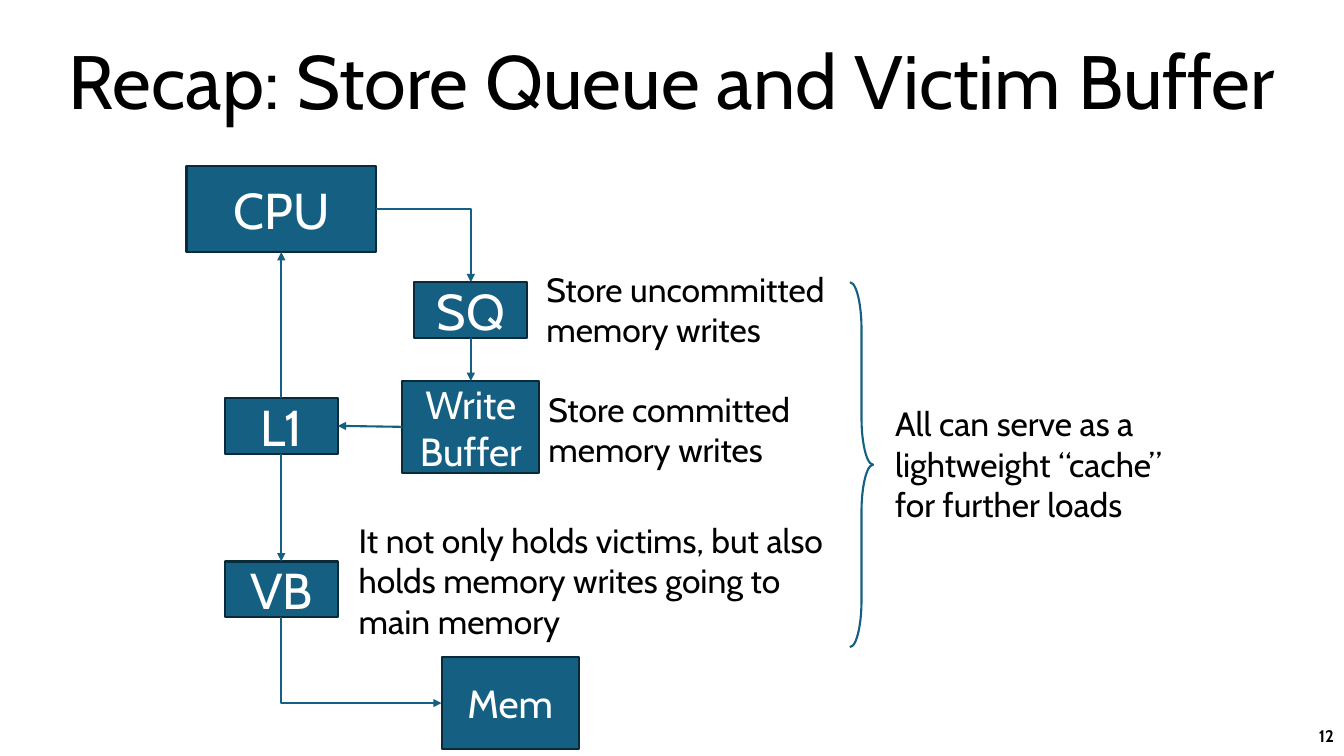
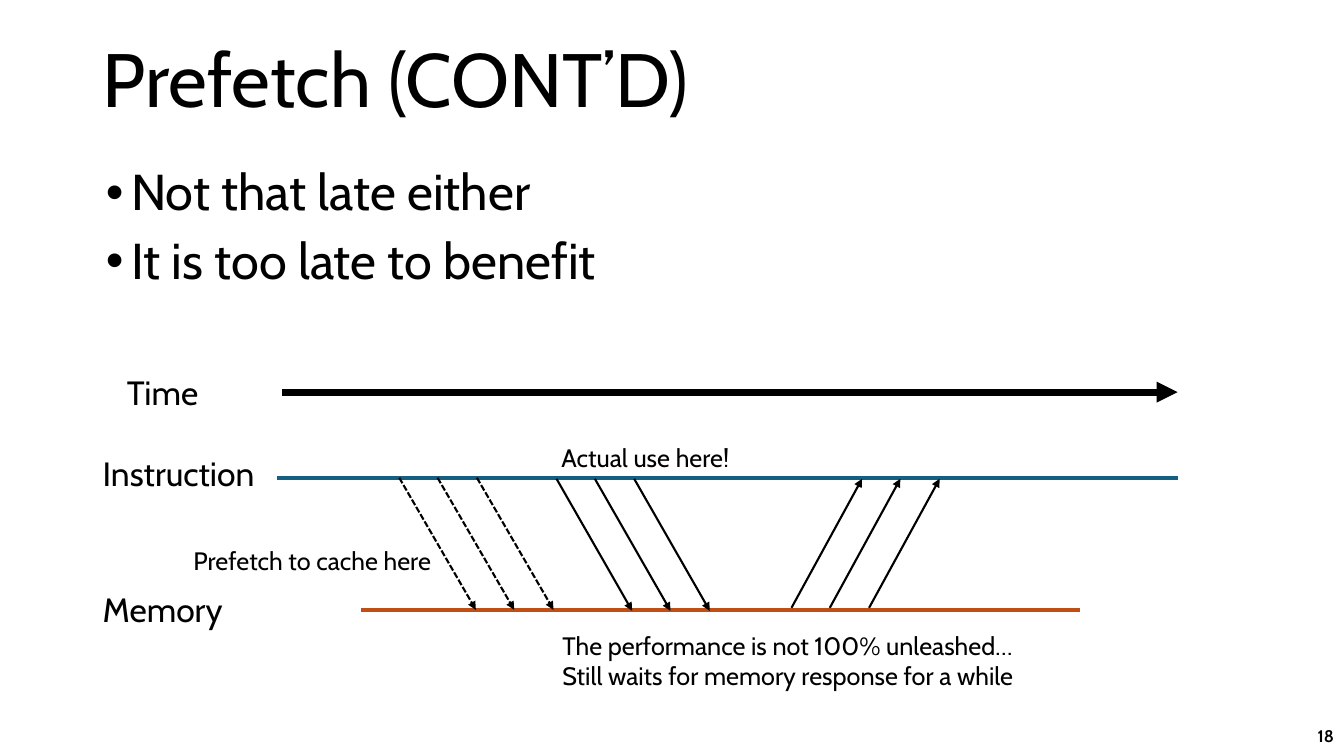
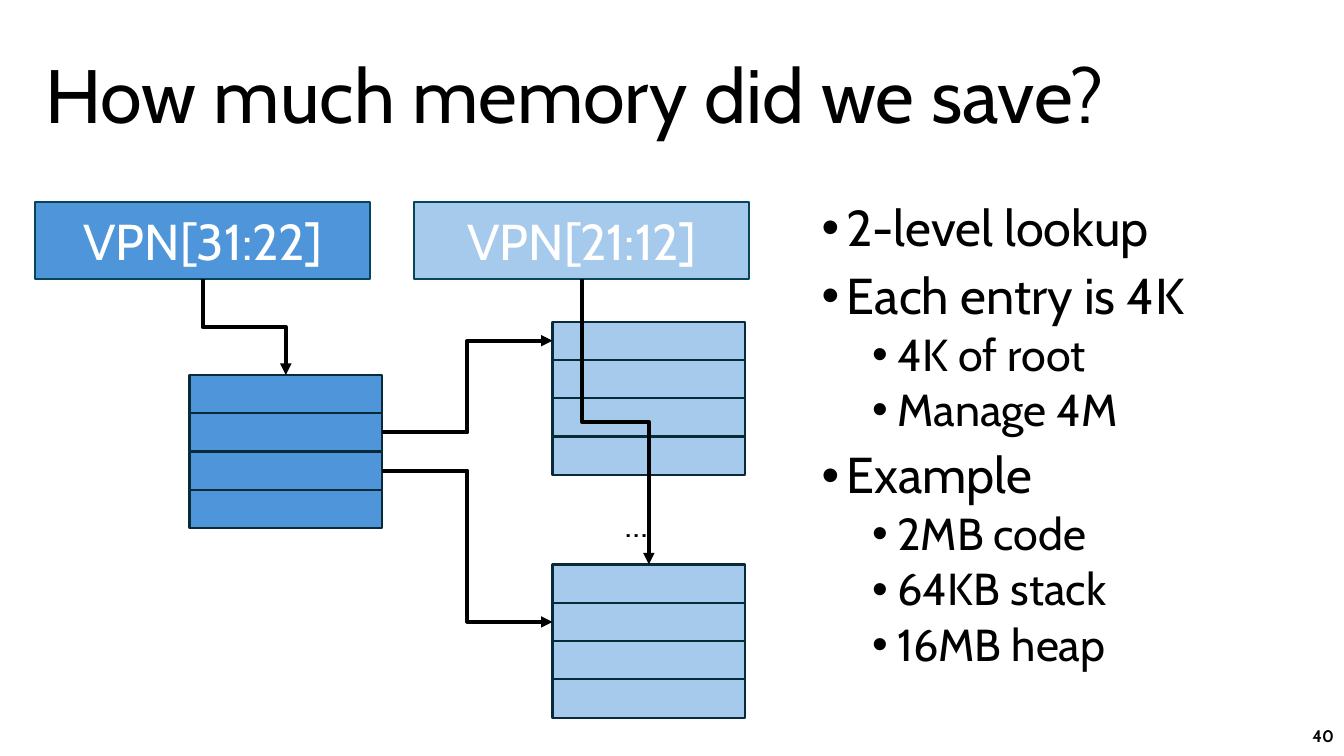
from lxml.etree import SubElement
from pptx import Presentation
from pptx.dml.color import RGBColor
from pptx.enum.dml import MSO_LINE
from pptx.enum.shapes import MSO_CONNECTOR as CONNECTOR, MSO_SHAPE as SHAPE
from pptx.enum.text import MSO_ANCHOR as ANCHOR, MSO_AUTO_SIZE as AUTO_SIZE, PP_ALIGN as ALIGN
from pptx.oxml.ns import qn
from pptx.util import Emu, Pt

EMU_PER_PX = 9144
TOP, LEFT, BOTTOM, RIGHT = range(4)
FONT = "Cabin"
BLACK, WHITE = "000000", "FFFFFF"
TEAL, NAVY, SLATE = "156082", "092A39", "07455D"
BLUE, PALE, ORANGE = "4E95D9", "A6CAEC", "C04F15"


def px(value):
    return Emu(value * EMU_PER_PX)


def color(hex_text):
    return RGBColor.from_string(hex_text)


def write(paragraph, text, size=24, ink=BLACK, bold=False, align=ALIGN.LEFT,
          spacing=None, before=0):
    run = paragraph.add_run()
    run.text = text
    run.font.name = FONT
    run.font.size = Pt(size)
    run.font.bold = bold
    run.font.color.rgb = color(ink)
    paragraph.alignment = align
    paragraph.space_before = Pt(before)
    if spacing:
        paragraph.line_spacing = spacing


class Deck:
    def __init__(self):
        self.presentation = Presentation()
        self.presentation.slide_width = px(1333)
        self.presentation.slide_height = px(750)
        self.slide = None

    def start(self, title, box, number, layout):
        layouts = self.presentation.slide_layouts
        self.slide = self.presentation.slides.add_slide(layouts.get_by_name(layout))
        shape = self.slide.shapes.title
        frame = self.place(shape, box, ANCHOR.MIDDLE)
        write(frame.paragraphs[0], title, size=54, spacing=0.9)
        self.text(str(number), (1033, 710, 300, 40), anchor=ANCHOR.MIDDLE,
                  size=12, bold=True, align=ALIGN.RIGHT)

    def place(self, shape, box, anchor=ANCHOR.TOP, wrap=True):
        shape.left, shape.top, shape.width, shape.height = map(px, box)
        frame = shape.text_frame
        frame.auto_size = AUTO_SIZE.NONE
        frame.word_wrap = wrap
        frame.vertical_anchor = anchor
        return frame

    def text(self, text, box, anchor=ANCHOR.TOP, wrap=True, **style):
        shape = self.slide.shapes.add_textbox(*map(px, box))
        frame = self.place(shape, box, anchor, wrap)
        write(frame.paragraphs[0], text, **style)

    def bullets(self, items, box):
        frame = self.place(self.slide.placeholders[1], box)
        for index, (level, text) in enumerate(items):
            paragraph = frame.add_paragraph() if index else frame.paragraphs[0]
            paragraph.level = level
            properties = paragraph._p.get_or_add_pPr()
            properties.set("marL", str(px(25 + 50 * level)))
            properties.set("indent", str(px(-25)))
            SubElement(properties, qn("a:buFont"), typeface="Arial")
            SubElement(properties, qn("a:buChar"), char="•")
            before = (10, 5)[level] if index else 0
            write(paragraph, text, size=(36, 32)[level], spacing=0.9, before=before)

    def box(self, box, fill=TEAL, edge=NAVY, text="", size=36):
        shape = self.slide.shapes.add_shape(SHAPE.RECTANGLE, *map(px, box))
        shape.shadow.inherit = False
        shape.fill.solid()
        shape.fill.fore_color.rgb = color(fill)
        self.stroke(shape.line, edge)
        if text:
            frame = self.place(shape, box, ANCHOR.MIDDLE)
            write(frame.paragraphs[0], text, size=size, ink=WHITE, align=ALIGN.CENTER)
        return shape

    def stack(self, left, top, fill):
        return [self.box((left, top + 38 * row, 191, 38), fill) for row in range(4)]

    def brace(self, box, bend):
        shape = self.slide.shapes.add_shape(SHAPE.RIGHT_BRACE, *map(px, box))
        shape.shadow.inherit = False
        shape.fill.background()
        shape.adjustments[0] = bend
        self.stroke(shape.line, TEAL)

    def stroke(self, line, ink, width=1.5):
        line.color.rgb = color(ink)
        line.width = Pt(width)

    def finish(self, connector, ink, width, dashed=False, arrow=True):
        self.stroke(connector.line, ink, width)
        if dashed:
            connector.line.dash_style = MSO_LINE.SQUARE_DOT
        properties = connector._element.spPr
        if arrow:
            SubElement(properties.find(qn("a:ln")), qn("a:tailEnd"), type="triangle")
        SubElement(properties, qn("a:effectLst"))

    def line(self, start, end, ink=BLACK, width=1.5, **style):
        connector = self.slide.shapes.add_connector(
            CONNECTOR.STRAIGHT, *map(px, start + end))
        self.finish(connector, ink, width, **style)

    def join(self, first, first_side, second, second_side, kind=CONNECTOR.STRAIGHT,
             ink=TEAL, width=1.5):
        connector = self.slide.shapes.add_connector(kind, 0, 0, 0, 0)
        connector.begin_connect(first, first_side)
        connector.end_connect(second, second_side)
        if kind == CONNECTOR.ELBOW:
            self.bend(connector, first_side, second_side)
        self.finish(connector, ink, width)

    def bend(self, connector, first_side, second_side):
        properties = connector._element.spPr
        if (first_side + second_side) % 2:
            properties.find(qn("a:prstGeom")).set("prst", "bentConnector2")
        if first_side == BOTTOM:
            across, down = connector.width, connector.height
            connector.left += (across - down) // 2
            connector.top += (down - across) // 2
            connector.width, connector.height = down, across
            frame = properties.find(qn("a:xfrm"))
            frame.set("rot", "16200000")
            frame.set("flipH", "1")


def store_queue(deck):
    deck.start("Recap: Store Queue and Victim Buffer", (58, 12, 1218, 145), 12, "Title Only")
    cpu = deck.box((185, 165, 188, 85), text="CPU")
    cache = deck.box((223, 395, 112, 55), text="L1")
    victim = deck.box((223, 557, 112, 55), text="VB")
    queue = deck.box((411, 280, 112, 55), text="SQ")
    buffer = deck.box((399, 378, 136, 91), text="Write Buffer", size=28)
    memory = deck.box((438, 652, 136, 91), text="Mem", size=28)
    deck.text("Store uncommitted memory writes", (532, 262, 311, 91))
    deck.text("Store committed memory writes", (534, 381, 311, 91))
    deck.text("All can serve as a lightweight “cache” for further loads",
              (878, 395, 311, 131))
    deck.text("It not only holds victims, but also holds memory writes going to main memory",
              (346, 511, 484, 131))
    deck.brace((843, 280, 23, 362), 2.04)
    deck.join(cache, TOP, cpu, BOTTOM)
    deck.join(cpu, RIGHT, queue, TOP, CONNECTOR.ELBOW)
    deck.join(queue, BOTTOM, buffer, TOP)
    deck.join(buffer, LEFT, cache, RIGHT)
    deck.join(cache, BOTTOM, victim, TOP)
    deck.join(victim, BOTTOM, memory, LEFT, CONNECTOR.ELBOW)


def prefetch(deck):
    deck.start("Prefetch (CONT’D)", (92, 18, 1118, 129), 18, "Title and Content")
    deck.bullets([(0, "Not that late either"), (0, "It is too late to benefit")],
                 (95, 161, 1150, 202))
    deck.line((275, 474), (1168, 474), TEAL, 3, arrow=False)
    deck.line((358, 605), (1071, 605), ORANGE, 3, arrow=False)
    deck.line((280, 389), (1168, 389), width=5)
    for offset in (0, 38, 77):
        deck.line((396 + offset, 474), (472 + offset, 605), dashed=True)
        deck.line((552 + offset, 475), (627 + offset, 606))
        deck.line((785 + offset, 603), (855 + offset, 475))
    deck.text("Time", (116, 364, 91, 50), wrap=False)
    deck.text("Instruction", (92, 444, 178, 50), wrap=False)
    deck.text("Memory", (92, 579, 139, 50), wrap=False)
    deck.text("Prefetch to cache here", (182, 536, 265, 40), wrap=False, size=18)
    deck.text("The performance is not 100% unleashed… Still waits for memory response for a while",
              (548, 620, 503, 71), size=18)
    deck.text("Actual use here!", (547, 434, 225, 40), size=18)


def memory_saved(deck):
    deck.start("How much memory did we save?", (35, 26, 1150, 145), 40, "Title and Content")
    deck.bullets([(0, "2-level lookup"), (0, "Each entry is 4K"), (1, "4K of root"),
                  (1, "Manage 4M"), (0, "Example"), (1, "2MB code"),
                  (1, "64KB stack"), (1, "16MB heap")], (805, 196, 422, 514))
    root_index = deck.box((35, 200, 332, 77), BLUE, SLATE, "VPN[31:22]")
    leaf_index = deck.box((411, 200, 332, 77), PALE, SLATE, "VPN[21:12]")
    root = deck.stack(188, 372, BLUE)
    first_leaf = deck.stack(548, 319, PALE)
    last_leaf = deck.stack(548, 560, PALE)
    deck.text("…", (610, 495, 41, 50))
    for start, start_side, end, end_side in (
            (root[1], RIGHT, first_leaf[0], LEFT),
            (root[2], RIGHT, last_leaf[1], LEFT),
            (root_index, BOTTOM, root[0], TOP),
            (leaf_index, BOTTOM, last_leaf[0], TOP)):
        deck.join(start, start_side, end, end_side, CONNECTOR.ELBOW, BLACK, 2.75)


def main():
    deck = Deck()
    for build in (store_queue, prefetch, memory_saved):
        build(deck)
    deck.presentation.save("out.pptx")


if __name__ == "__main__":
    main()
